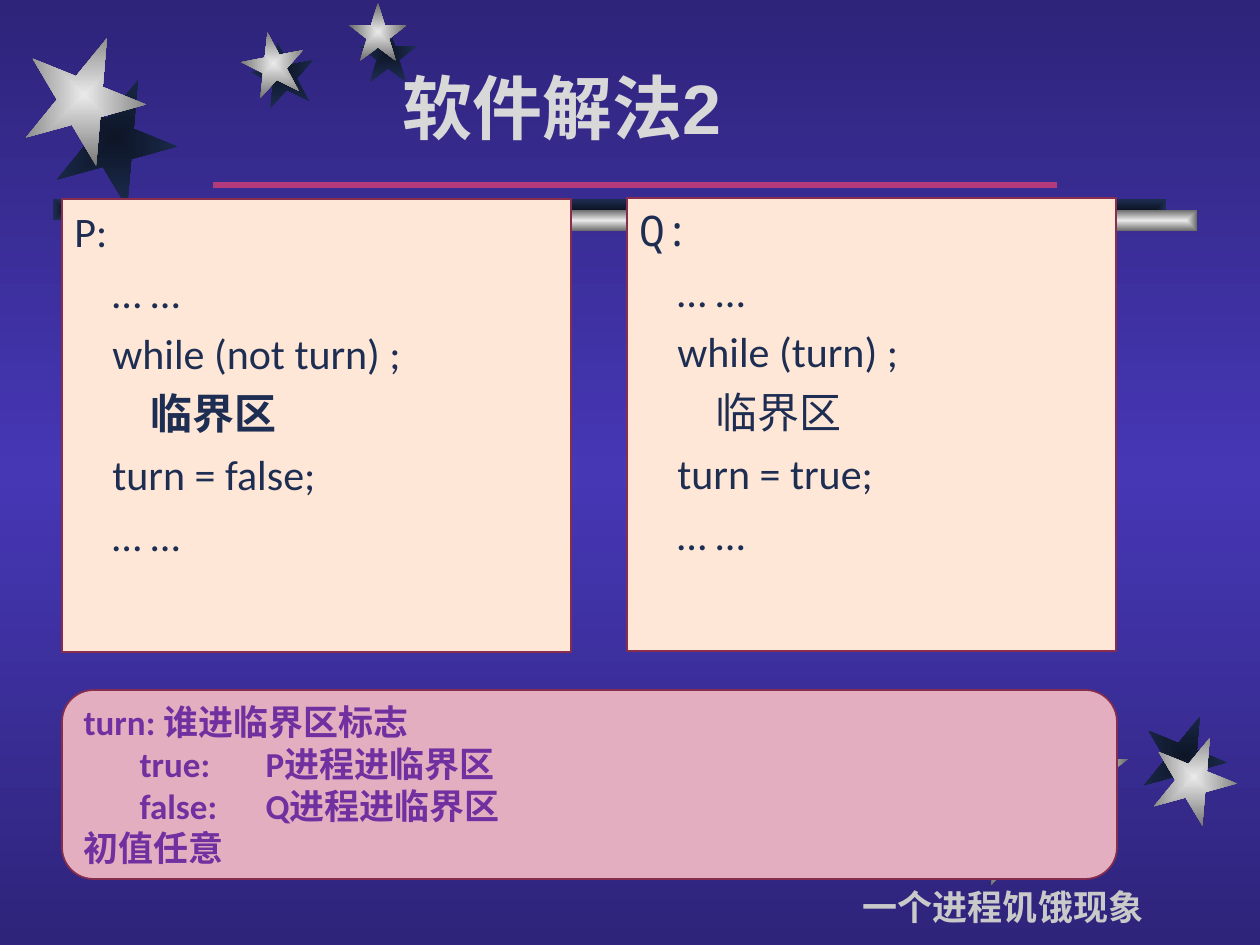
from dataclasses import dataclass

from lxml.etree import SubElement
from pptx import Presentation
from pptx.dml.color import RGBColor
from pptx.enum.shapes import MSO_CONNECTOR, MSO_SHAPE as Preset
from pptx.enum.text import MSO_ANCHOR as Anchor, MSO_AUTO_SIZE as AutoSize, PP_ALIGN as Align
from pptx.oxml.ns import qn
from pptx.util import Pt

PX = 914400 / 126
TITLE_ONLY = 5
NIGHT = [(0, "2E247A"), (50, "4637B5"), (100, "2E247A")]
SILVER = [(0, "EAEAEA"), (100, "6B6B6B")]
SHADE = [(0, "0D1526"), (100, "1E2E53")]
INK, CREAM, WINE = "1E2E53", "FEE7D6", "892D4E"
INDENT = 38


@dataclass
class Ornament:
    left: int
    top: int
    width: int
    height: int
    stops: list
    rotation: int = 0
    preset: Preset = Preset.STAR_5_POINT


@dataclass
class Line:
    text: str
    indent: int = 0
    bold: bool = False
    font: str = "Calibri"
    tab: int = 0


@dataclass
class Panel:
    left: int
    top: int
    width: int
    height: int
    lines: list


ORNAMENTS = [
    Ornament(54, 76, 122, 122, SHADE, 22),
    Ornament(252, 42, 63, 63, SHADE, 349),
    Ornament(359, 24, 58, 58, SHADE),
    Ornament(242, 32, 63, 63, SILVER, 349),
    Ornament(349, 3, 58, 58, SILVER),
    Ornament(1142, 714, 84, 84, SHADE, 22),
    Ornament(973, 819, 63, 63, SILVER, 349),
    Ornament(1070, 737, 58, 58, SILVER),
    Ornament(1152, 735, 84, 84, SILVER, 22),
    Ornament(23, 34, 122, 122, SILVER, 22),
    Ornament(53, 199, 1113, 21, SHADE, preset=Preset.RECTANGLE),
    Ornament(84, 210, 1113, 21, SILVER, preset=Preset.RECTANGLE),
]


def process_lines(head: Line, condition: str, value: str, bold: bool) -> list:
    return [
        head,
        Line("… …", INDENT),
        Line(f"while ({condition}) ;", INDENT),
        Line("临界区", 2 * INDENT, bold),
        Line(f"turn = {value};", INDENT),
        Line("… …", INDENT),
    ]


PANELS = [
    Panel(62, 199, 509, 453, process_lines(Line("P:"), "not turn", "false", True)),
    Panel(627, 198, 489, 453,
          process_lines(Line("Q:", font="Noto Sans Mono"), "turn", "true", False)),
]
NOTES = [
    Line("turn: 谁进临界区标志", bold=True),
    Line("true:\tP进程进临界区", 56, True, tab=142),
    Line("false:\tQ进程进临界区", 56, True, tab=142),
    Line("初值任意", bold=True),
]


def emu(px: int) -> int:
    return round(px * PX)


def box(left: int, top: int, width: int, height: int) -> tuple:
    return emu(left), emu(top), emu(width), emu(height)


def rgb(color: str) -> RGBColor:
    return RGBColor.from_string(color)


def set_gradient(owner, fill, stops: list, centred: bool) -> None:
    """Fill from the centre outwards, or from top to bottom."""
    fill.gradient()
    grad = owner.find(".//" + qn("a:gradFill"))
    for child in list(grad):
        grad.remove(child)
    stop_list = SubElement(grad, qn("a:gsLst"))
    for position, color in stops:
        stop = SubElement(stop_list, qn("a:gs"), pos=str(position * 1000))
        SubElement(stop, qn("a:srgbClr"), val=color)
    if centred:
        shade = SubElement(grad, qn("a:path"), {"path": "rect"})
        SubElement(shade, qn("a:fillToRect"), dict.fromkeys("ltrb", "50000"))
    else:
        SubElement(grad, qn("a:lin"), ang="5400000", scaled="0")


def draw_ornament(shapes, item: Ornament) -> None:
    shape = shapes.add_shape(item.preset, *box(item.left, item.top, item.width, item.height))
    shape.rotation = item.rotation
    shape.shadow.inherit = False
    shape.line.fill.background()
    set_gradient(shape._element, shape.fill, item.stops, centred=True)


def draw_rule(shapes) -> None:
    rule = shapes.add_connector(MSO_CONNECTOR.STRAIGHT, emu(213), emu(185), emu(1057), emu(185))
    rule.line.color.rgb = rgb("B23A7D")
    rule.line.width = Pt(3)
    SubElement(rule._element.spPr, qn("a:effectLst"))


def style(paragraph, name: str, size: int, color: str, bold: bool) -> None:
    font = paragraph.font
    font.name, font.size, font.bold = name, Pt(size), bold
    font.color.rgb = rgb(color)


def write_lines(frame, lines: list, size: int, color: str, gap: int = 0) -> None:
    frame.word_wrap = True
    for index, line in enumerate(lines):
        paragraph = frame.add_paragraph() if index else frame.paragraphs[0]
        paragraph.text = line.text
        paragraph.alignment = Align.LEFT
        if index:
            paragraph.space_before = Pt(gap)
        props = paragraph._p.get_or_add_pPr()
        props.set("marL", str(emu(line.indent)))
        props.set("indent", "0")
        if line.tab:
            tabs = SubElement(props, qn("a:tabLst"))
            SubElement(tabs, qn("a:tab"), pos=str(emu(line.tab)), algn="l")
        style(paragraph, line.font, size, color, line.bold)


def draw_box(shapes, preset: Preset, place: tuple, fill: str, edge: str, weight: float):
    shape = shapes.add_shape(preset, *box(*place))
    shape.shadow.inherit = False
    shape.fill.solid()
    shape.fill.fore_color.rgb = rgb(fill)
    shape.line.color.rgb = rgb(edge)
    shape.line.width = Pt(weight)
    return shape


def draw_panel(shapes, panel: Panel) -> None:
    place = (panel.left, panel.top, panel.width, panel.height)
    shape = draw_box(shapes, Preset.RECTANGLE, place, CREAM, WINE, 1.5)
    shape.text_frame.vertical_anchor = Anchor.TOP
    write_lines(shape.text_frame, panel.lines, 24, INK, gap=6)


def write_heading(shape, text: str, size: int, color: str) -> None:
    frame = shape.text_frame
    frame.word_wrap = True
    frame.auto_size = AutoSize.NONE
    frame.text = text
    frame.paragraphs[0].alignment = Align.CENTER
    style(frame.paragraphs[0], "Arial", size, color, True)


def main() -> None:
    deck = Presentation()
    deck.slide_width, deck.slide_height = emu(1260), emu(945)
    slide = deck.slides.add_slide(deck.slide_layouts[TITLE_ONLY])
    shapes = slide.shapes
    set_gradient(slide._element, slide.background.fill, NIGHT, centred=False)

    for ornament in ORNAMENTS:
        draw_ornament(shapes, ornament)
    draw_rule(shapes)

    title = shapes.title
    title.left, title.top, title.width, title.height = box(63, 44, 998, 111)
    title.text_frame.vertical_anchor = Anchor.BOTTOM
    write_heading(title, "软件解法2", 40, "D8D8D8")
    shapes._spTree.append(title._element)  # bring in front of the stars

    for panel in PANELS:
        draw_panel(shapes, panel)

    notes = draw_box(shapes, Preset.ROUNDED_RECTANGLE, (62, 690, 1055, 189),
                     "E4AEC1", "862C4C", 1)
    notes.text_frame.vertical_anchor = Anchor.MIDDLE
    write_lines(notes.text_frame, NOTES, 20, "7030A0")

    write_heading(shapes.add_textbox(*box(748, 879, 510, 55)), "一个进程饥饿现象", 20, "C9C9C9")
    deck.save("out.pptx")


if __name__ == "__main__":
    main()
